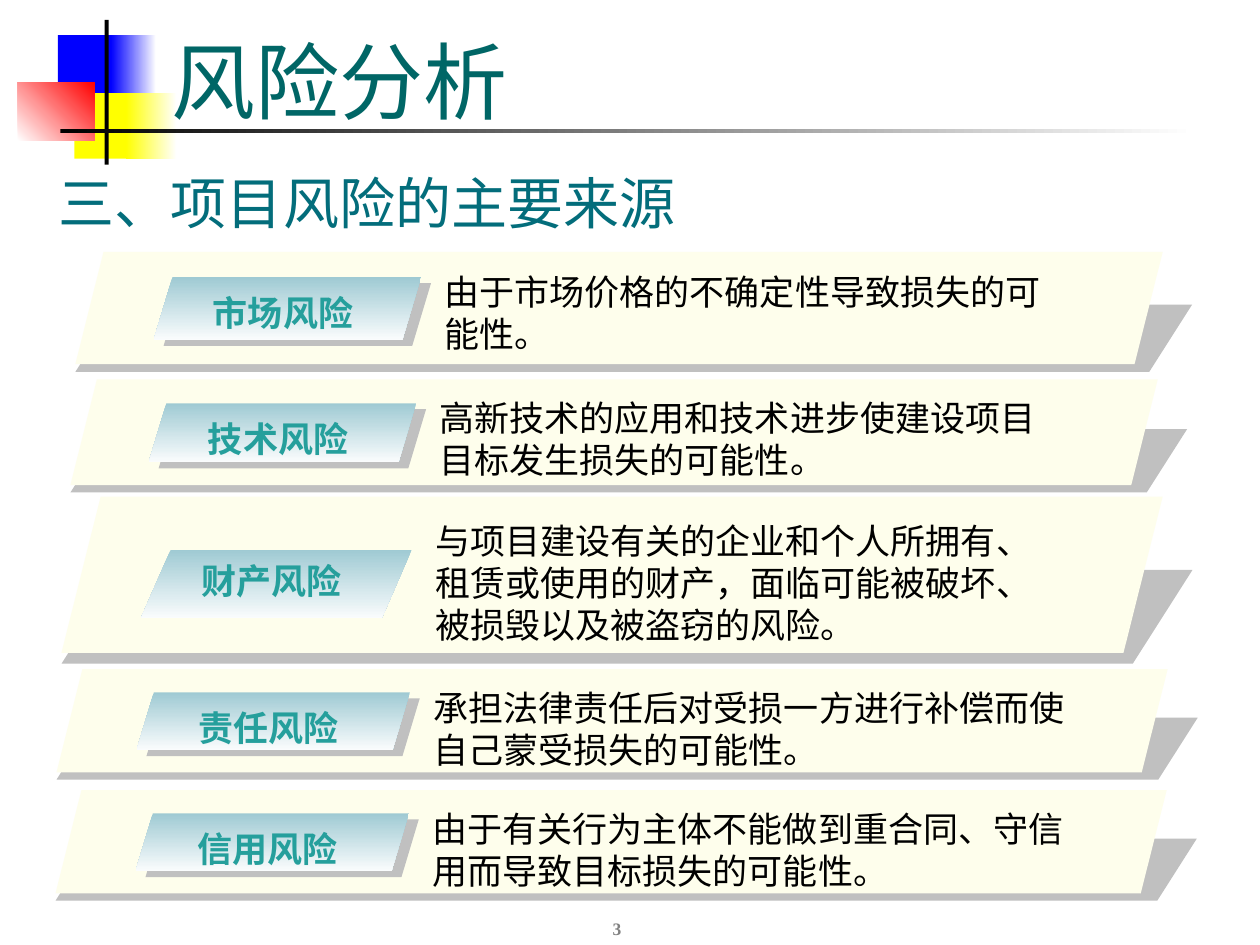
import pptx
import pptx.util
import pptx.dml.color
import pptx.enum.shapes
import pptx.enum.text
import pptx.oxml.ns
import lxml.etree

Cm = pptx.util.Cm
SHAPE = pptx.enum.shapes.MSO_SHAPE
ALIGN = pptx.enum.text.PP_ALIGN
ANCHOR = pptx.enum.text.MSO_ANCHOR

THEME = {
    "title": "006666", "subtitle": "036D7B", "body": "000000", "label": "259F9C",
    "number": "808080", "shadow": "C0C0C0", "panel": "FEFEEC",
    "tag": ("9FCAD3", "FAFCFD", 90),
    "title_size": 48, "subtitle_size": 32, "body_size": 20, "number_size": 10,
    "latin": "Times New Roman", "chinese": "Noto Sans CJK SC",
}

TITLE = "风险分析"
SUBTITLE = "三、项目风险的主要来源"
PAGE_NUMBER = "3"

# Box (left, top, width, height) in cm, then a colour or (start, end, clockwise angle)
HEADER_BLOCKS = [
    ((1.17, 0.71, 1.22, 1.32), "0000FF"),
    ((2.24, 0.71, 0.91, 1.32), ("0000FF", "FFFFFF", 0)),
    ((1.50, 1.88, 1.17, 1.32), "FFFF00"),
    ((2.54, 1.88, 1.02, 1.32), ("FFFF00", "FFFFFF", 0)),
    ((0.36, 1.66, 1.55, 1.18), ("FFFFFF", "FF0000", 315)),
    ((2.11, 0.40, 0.08, 2.92), "000000"),
    ((1.22, 2.60, 22.86, 0.08), ("000000", "FFFFFF", 0)),
]

# Tag and label positions are fractions of the panel height
RAISED_TAG = {"top": 0.225, "height": 0.56, "slant": 0.3, "label": 0.3, "shadow": True}
FLAT_TAG = {"top": 0.34, "height": 0.44, "slant": 0.437, "label": 0.363, "shadow": False}

RISKS = [
    ("市场风险", "由于市场价格的不确定性导致损失的可能性。",
     (1.52, 5.08, 21.92, 2.26), RAISED_TAG),
    ("技术风险", "高新技术的应用和技术进步使建设项目目标发生损失的可能性。",
     (1.42, 7.65, 21.92, 2.13), RAISED_TAG),
    ("财产风险", "与项目建设有关的企业和个人所拥有、租赁或使用的财产，面临可能被破坏、被损毁以及被盗窃的风险。",
     (1.24, 10.01, 22.2, 3.15), FLAT_TAG),
    ("责任风险", "承担法律责任后对受损一方进行补偿而使自己蒙受损失的可能性。",
     (1.14, 13.49, 22.4, 2.08), RAISED_TAG),
    ("信用风险", "由于有关行为主体不能做到重合同、守信用而导致目标损失的可能性。",
     (1.12, 15.93, 22.4, 2.08), RAISED_TAG),
]


def rgb(value):
    return pptx.dml.color.RGBColor.from_string(value)


def add_block(shapes, kind, box, paint, slant=None):
    block = shapes.add_shape(kind, *map(Cm, box))
    block.shadow.inherit = False
    block.line.fill.background()
    if slant is not None:
        block.adjustments[0] = slant
    if isinstance(paint, str):
        block.fill.solid()
        block.fill.fore_color.rgb = rgb(paint)
    else:
        start, end, angle = paint
        block.fill.gradient()
        block.fill.gradient_angle = (360 - angle) % 360
        for stop, colour in zip(block.fill.gradient_stops, (start, end)):
            stop.color.rgb = rgb(colour)


def add_text(shapes, box, wording, size, colour, latin, bold=False,
             align=ALIGN.LEFT, anchor=ANCHOR.TOP, grow=True):
    frame = shapes.add_textbox(*map(Cm, box)).text_frame
    frame.word_wrap = True
    frame.vertical_anchor = anchor
    if grow:
        frame.auto_size = pptx.enum.text.MSO_AUTO_SIZE.SHAPE_TO_FIT_TEXT
    frame.text = wording
    paragraph = frame.paragraphs[0]
    paragraph.alignment = align
    run = paragraph.runs[0]
    run.font.size = pptx.util.Pt(size)
    run.font.bold = bold
    run.font.color.rgb = rgb(colour)
    run.font.name = latin
    east_asian = lxml.etree.SubElement(run.font._element, pptx.oxml.ns.qn("a:ea"))
    east_asian.set("typeface", THEME["chinese"])


def add_risk(slide, name, description, panel, tag):
    """Draw one risk as a slanted panel with its tag, placed in proportion to the panel."""
    shapes = slide.shapes.add_group_shape().shapes
    left, top, width, height = panel
    slanted = SHAPE.PARALLELOGRAM

    panel_shadow = (left, top + 0.47 * height, 1.027 * width, 0.6 * height)
    add_block(shapes, slanted, panel_shadow, THEME["shadow"], 0.637)
    add_block(shapes, slanted, panel, THEME["panel"], 0.251)

    tag_left, tag_top = left + 0.072 * width, top + tag["top"] * height
    tag_size = (0.246 * width, tag["height"] * height)
    if tag["shadow"]:
        add_block(shapes, slanted, (tag_left + 0.2, tag_top + 0.12, *tag_size),
                  THEME["shadow"], tag["slant"])
    add_block(shapes, slanted, (tag_left, tag_top, *tag_size), THEME["tag"], tag["slant"])

    description_box = (left + 0.328 * width, top + 0.107 * height, 0.593 * width, 1.96)
    add_text(shapes, description_box, description, THEME["body_size"], THEME["body"],
             THEME["chinese"])
    label_box = (left + 0.1 * width, top + tag["label"] * height, 0.182 * width, 1.09)
    add_text(shapes, label_box, name, THEME["body_size"], THEME["label"],
             THEME["latin"], bold=True, align=ALIGN.CENTER)


def main():
    deck = pptx.Presentation()
    deck.slide_width, deck.slide_height = Cm(25.4), Cm(19.05)
    slide = deck.slides.add_slide(deck.slide_layouts[6])

    header = slide.shapes.add_group_shape().shapes
    for box, paint in HEADER_BLOCKS:
        add_block(header, SHAPE.RECTANGLE, box, paint)

    add_text(slide.shapes, (9.8, 17.78, 5.28, 1.27), PAGE_NUMBER, THEME["number_size"],
             THEME["number"], THEME["latin"], bold=True, align=ALIGN.CENTER,
             anchor=ANCHOR.BOTTOM, grow=False)
    add_text(slide.shapes, (3.2, 0.41, 21.64, 2.34), TITLE, THEME["title_size"],
             THEME["title"], THEME["latin"], anchor=ANCHOR.BOTTOM, grow=False)
    add_text(slide.shapes, (0.94, 3.28, 19.56, 1.6), SUBTITLE, THEME["subtitle_size"],
             THEME["subtitle"], THEME["chinese"])

    for risk in RISKS:
        add_risk(slide, *risk)
    deck.save("out.pptx")


if __name__ == "__main__":
    main()
